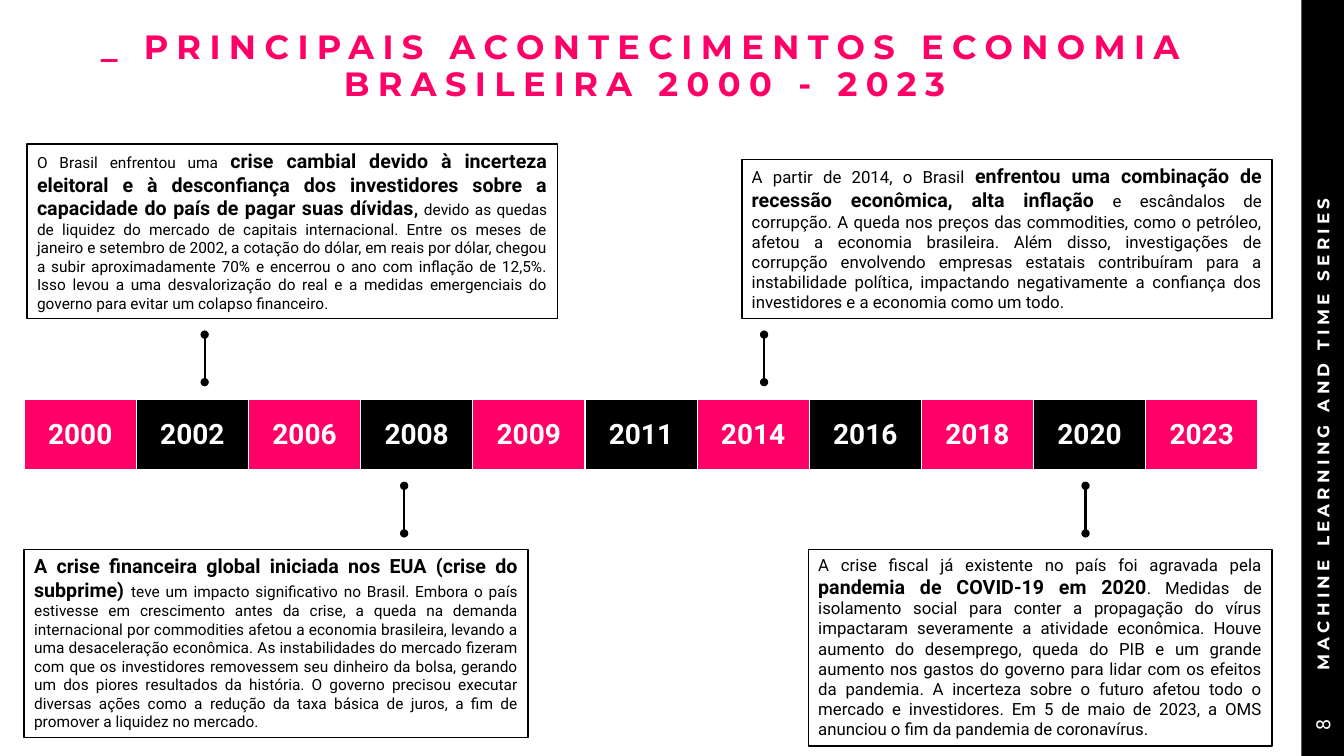
from pptx import Presentation
from pptx.dml.color import RGBColor
from pptx.enum.shapes import MSO_CONNECTOR, MSO_SHAPE
from pptx.enum.text import MSO_ANCHOR, MSO_AUTO_SIZE, PP_ALIGN
from pptx.oxml.ns import qn
from pptx.util import Pt
from lxml.etree import SubElement

COLORS = {"pink": "FF0066", "black": "000000", "white": "FFFFFF"}

YEARS = [2000, 2002, 2006, 2008, 2009, 2011, 2014, 2016, 2018, 2020, 2023]

EVENTS = [
    ((529.9, 113.8, 378.7, 113.8), [
        ("A partir de 2014, o Brasil ", 12, False),
        ("enfrentou uma combinação de recessão econômica, alta inflação", 14, True),
        (" e escândalos de corrupção. A queda nos preços das commodities, como o petróleo, "
         "afetou a economia brasileira. Além disso, investigações de corrupção envolvendo "
         "empresas estatais contribuíram para a instabilidade política, impactando "
         "negativamente a confiança dos investidores e a economia como um todo.", 12, False),
    ]),
    ((577.4, 392.4, 331.2, 140.4), [
        ("A crise fiscal já existente no país foi agravada pela ", 12, False),
        ("pandemia de COVID-19 em 2020", 14, True),
        (". Medidas de isolamento social para conter a propagação do vírus impactaram "
         "severamente a atividade econômica. Houve aumento do desemprego, queda do PIB e um "
         "grande aumento nos gastos do governo para lidar com os efeitos da pandemia. A "
         "incerteza sobre o futuro afetou todo o mercado e investidores. Em 5 de maio de "
         "2023, a OMS anunciou o fim da pandemia de coronavírus.", 12, False),
    ]),
    ((19.4, 103, 378.7, 124.6), [
        ("O Brasil enfrentou uma ", 11, False),
        ("crise cambial devido à incerteza eleitoral e à desconfiança dos investidores sobre "
         "a capacidade do país de pagar suas dívidas", 14, True),
        (", ", 12, True),
        ("devido as quedas de liquidez do mercado de capitais internacional. Entre os meses "
         "de janeiro e setembro de 2002, a cotação do dólar, em reais por dólar, chegou a "
         "subir aproximadamente 70% e encerrou o ano com inflação de 12,5%. Isso levou a uma "
         "desvalorização do real e a medidas emergenciais do governo para evitar um colapso "
         "financeiro.", 11, False),
    ]),
    ((17.3, 392.4, 360, 134.6), [
        ("A crise financeira global iniciada nos EUA (crise do subprime) ", 14, True),
        ("teve um impacto significativo no Brasil. Embora o país estivesse em crescimento "
         "antes da crise, a queda na demanda internacional por commodities afetou a economia "
         "brasileira, levando a uma desaceleração econômica. As instabilidades do mercado "
         "fizeram com que os investidores removessem seu dinheiro da bolsa, gerando um dos "
         "piores resultados da história. O governo precisou executar diversas ações como a "
         "redução da taxa básica de juros, a fim de promover a liquidez no mercado.", 11, False),
    ]),
]

UPPER_MARKER, LOWER_MARKER = 239, 347
MARKERS = [(146.2, UPPER_MARKER), (545.8, UPPER_MARKER),
           (288.7, LOWER_MARKER), (775.4, LOWER_MARKER)]
MARKER_LENGTH = 34


def color(name):
    return RGBColor.from_string(COLORS[name])


def write_text(paragraph, text, *, size, font="Roboto", ink="black", bold=False,
               spacing=0, align=None):
    if align is not None:
        paragraph.alignment = align
    run = paragraph.add_run()
    run.text = text
    run.font.name = font
    run.font.size = Pt(size)
    run.font.bold = bold
    run.font.color.rgb = color(ink)
    if spacing:
        run._r.get_or_add_rPr().set("spc", str(spacing * 100))


def set_margins(frame, left, top, right, bottom):
    frame.margin_left, frame.margin_top = Pt(left), Pt(top)
    frame.margin_right, frame.margin_bottom = Pt(right), Pt(bottom)


class TimelineSlide:
    heading_font = "Montserrat"

    def __init__(self, presentation):
        self.slide = presentation.slides.add_slide(presentation.slide_layouts[5])
        self.shapes = self.slide.shapes

    def title(self, text, left, top, width, height):
        shape = self.shapes.title
        shape.left, shape.top = Pt(left), Pt(top)
        shape.width, shape.height = Pt(width), Pt(height)
        frame = shape.text_frame
        frame.word_wrap = True
        frame.auto_size = MSO_AUTO_SIZE.NONE
        frame.vertical_anchor = MSO_ANCHOR.MIDDLE
        set_margins(frame, 0, 0, 0, 0)
        paragraph = frame.paragraphs[0]
        paragraph.line_spacing = 0.9
        write_text(paragraph, text, size=24, font=self.heading_font, ink="pink",
                   bold=True, spacing=6, align=PP_ALIGN.CENTER)

    def rectangle(self, box, fill, line=None):
        shape = self.shapes.add_shape(MSO_SHAPE.RECTANGLE, *map(Pt, box))
        shape.shadow.inherit = False
        shape.fill.solid()
        shape.fill.fore_color.rgb = color(fill)
        if line:
            shape.line.color.rgb = color(line)
            shape.line.width = Pt(1)
        else:
            shape.line.fill.background()
        return shape

    def event(self, box, runs):
        frame = self.rectangle(box, "white", "black").text_frame
        frame.word_wrap = True
        frame.auto_size = MSO_AUTO_SIZE.SHAPE_TO_FIT_TEXT
        frame.vertical_anchor = MSO_ANCHOR.TOP
        for text, size, bold in runs:
            write_text(frame.paragraphs[0], text, size=size, bold=bold,
                       align=PP_ALIGN.JUSTIFY)

    def side_text(self, text, box, left_margin=7.2, **text_format):
        shape = self.shapes.add_textbox(*map(Pt, box))
        shape.rotation = 270
        frame = shape.text_frame
        frame.word_wrap = True
        frame.vertical_anchor = MSO_ANCHOR.MIDDLE
        set_margins(frame, left_margin, 3.6, 7.2, 3.6)
        write_text(frame.paragraphs[0], text, ink="white", **text_format)

    def timeline(self, years, left, top, width, height):
        frame = self.shapes.add_table(1, len(years), Pt(left), Pt(top), Pt(width), Pt(height))
        table = frame.table
        table.first_row = table.horz_banding = False
        for index, year in enumerate(years):
            table.columns[index].width = Pt(width / len(years))
            cell = table.cell(0, index)
            cell.vertical_anchor = MSO_ANCHOR.MIDDLE
            self.cell_borders(cell)
            cell.fill.solid()
            cell.fill.fore_color.rgb = color("black" if index % 2 else "pink")
            write_text(cell.text_frame.paragraphs[0], str(year), size=20, ink="white",
                       bold=True, align=PP_ALIGN.CENTER)

    def cell_borders(self, cell):
        properties = cell._tc.get_or_add_tcPr()
        for side, width in (("L", 1), ("R", 1), ("T", 1), ("B", 3)):
            border = SubElement(properties, qn(f"a:ln{side}"), w=str(Pt(width)))
            fill = SubElement(border, qn("a:solidFill"))
            SubElement(fill, qn("a:srgbClr"), val=COLORS["white"])

    def marker(self, x, top):
        connector = self.shapes.add_connector(
            MSO_CONNECTOR.STRAIGHT, Pt(x), Pt(top), Pt(x), Pt(top + MARKER_LENGTH))
        connector.line.color.rgb = color("black")
        connector.line.width = Pt(1.5)
        properties = connector._element.spPr
        line = properties.find(qn("a:ln"))
        for end in ("a:headEnd", "a:tailEnd"):
            SubElement(line, qn(end), type="oval")
        SubElement(properties, qn("a:effectLst"))


def main():
    presentation = Presentation()
    presentation.slide_width, presentation.slide_height = Pt(960), Pt(540)
    slide = TimelineSlide(presentation)
    slide.rectangle((929.5, 0, 30.5, 540), "black")
    slide.title("_ PRINCIPAIS ACONTECIMENTOS ECONOMIA BRASILEIRA 2000 - 2023",
                -24.5, 22.3, 969.8, 51.1)
    slide.side_text("MACHINE LEARNING AND TIME SERIES", (697, 232.6, 495.4, 30.2),
                    left_margin=16.6, size=12, font=slide.heading_font, bold=True, spacing=3)
    slide.side_text("8", (922.3, 502.6, 44.6, 30.2), size=14, align=PP_ALIGN.CENTER)
    for box, runs in EVENTS:
        slide.event(box, runs)
    slide.timeline(YEARS, 17.3, 285.1, 881.3, 51.1)
    for x, top in MARKERS:
        slide.marker(x, top)
    presentation.save("out.pptx")


if __name__ == "__main__":
    main()
